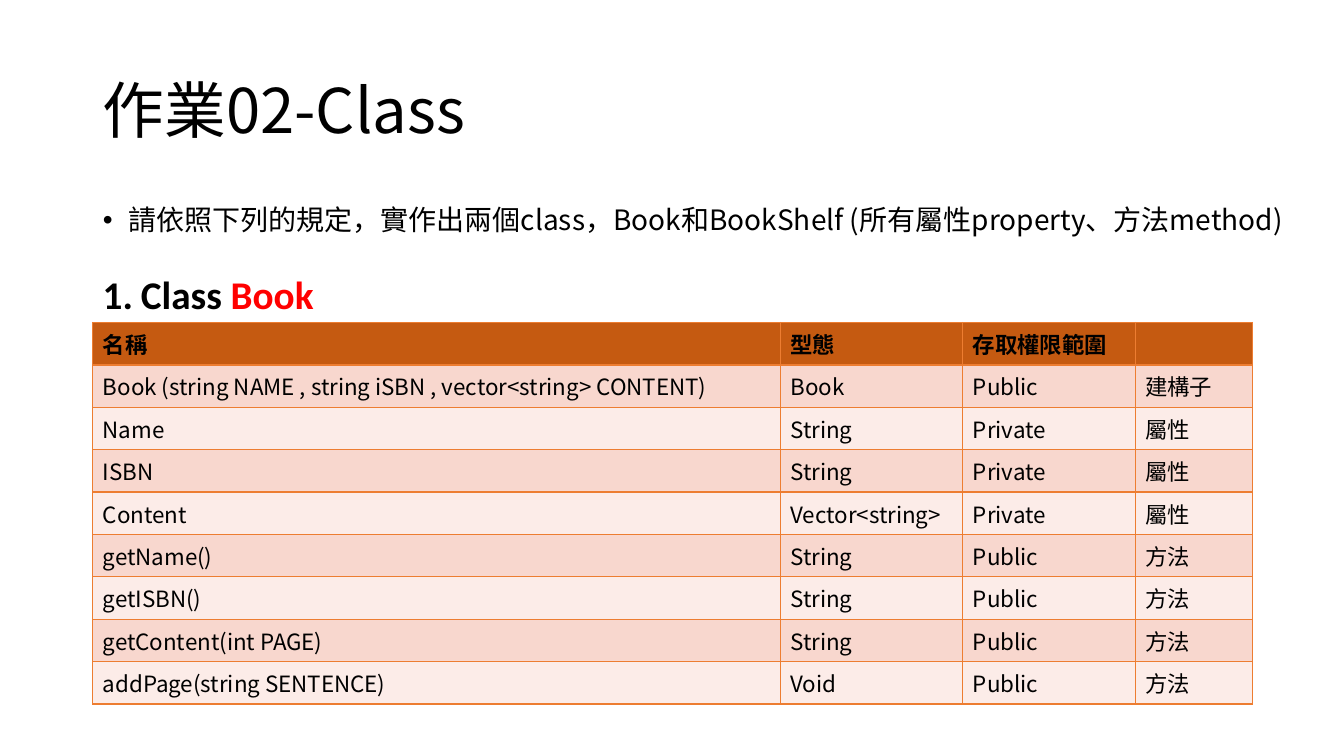
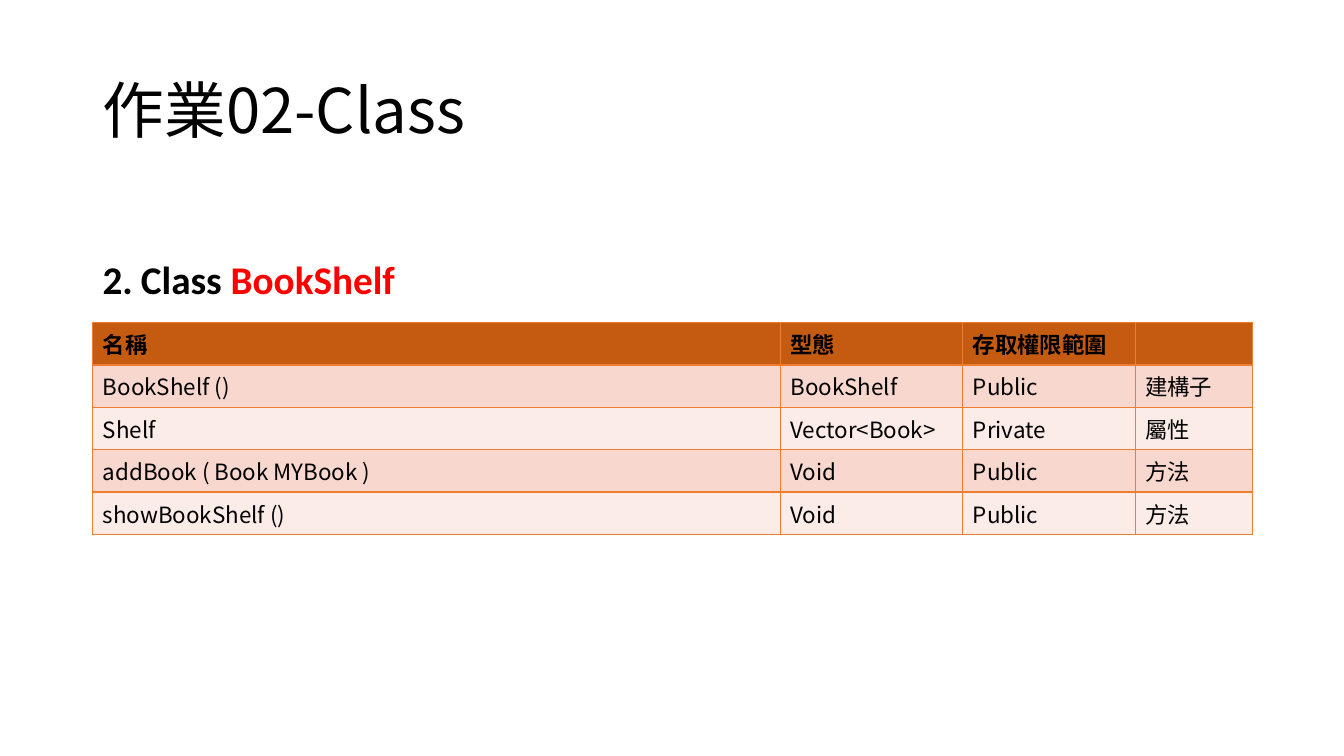
from lxml import etree
from pptx import Presentation
from pptx import util as u
from pptx.dml.color import RGBColor
from pptx.enum import text
from pptx.oxml import ns

# Shared look
FONT, HEADING_FONT = "Noto Sans CJK SC", "Calibri"
BLACK, RED = RGBColor(0, 0, 0), RGBColor(255, 0, 0)
HEADER_FILL = RGBColor(0xC5, 0x5A, 0x11)
BAND_FILLS = RGBColor(0xF8, 0xD7, 0xCE), RGBColor(0xFC, 0xEC, 0xE8)
BORDER = RGBColor(0xED, 0x7D, 0x31)

# Shared grid, in inches
LEFT, WIDTH = 0.92, 11.5
TITLE_BOX = LEFT, 0.4, WIDTH, 1.45
INTRO_BOX = LEFT, 2, 11.98, 4.76
TABLE_TOP, ROW_HEIGHT = 3.2, 0.42
COLUMNS = 6.82, 1.81, 1.71, 1.16

TITLE = "作業02-Class"
INTRO = "請依照下列的規定，實作出兩個class，Book和BookShelf (所有屬性property、方法method)"
HEADER = "名稱", "型態", "存取權限範圍", ""
BOOK = [
    ("Book (string NAME , string iSBN , vector<string> CONTENT)", "Book", "Public", "建構子"),
    ("Name", "String", "Private", "屬性"),
    ("ISBN", "String", "Private", "屬性"),
    ("Content", "Vector<string>", "Private", "屬性"),
    ("getName()", "String", "Public", "方法"),
    ("getISBN()", "String", "Public", "方法"),
    ("getContent(int PAGE)", "String", "Public", "方法"),
    ("addPage(string SENTENCE)", "Void", "Public", "方法"),
]
BOOKSHELF = [
    ("BookShelf ()", "BookShelf", "Public", "建構子"),
    ("Shelf", "Vector<Book>", "Private", "屬性"),
    ("addBook ( Book MYBook )", "Void", "Public", "方法"),
    ("showBookShelf ()", "Void", "Public", "方法"),
]


def inches(box):
    return [u.Inches(length) for length in box]


def style(run, size, color=BLACK, bold=False, name=FONT):
    font = run.font
    font.size, font.bold, font.name = u.Pt(size), bold, name
    font.color.rgb = color
    latin = run._r.rPr.find(ns.qn("a:latin"))
    east_asian = etree.Element(ns.qn("a:ea"), typeface=name)
    latin.addnext(east_asian)


def set_bullet(paragraph, indent, tag, **attributes):
    properties = paragraph._p.get_or_add_pPr()
    properties.set("marL", str(u.Inches(indent)))
    properties.set("indent", str(-u.Inches(indent)))
    typeface = "Arial" if tag == "a:buChar" else "+mj-lt"
    etree.SubElement(properties, ns.qn("a:buFont"), typeface=typeface)
    etree.SubElement(properties, ns.qn(tag), **attributes)


def fill_placeholder(placeholder, box, content, size, anchor):
    placeholder.left, placeholder.top, placeholder.width, placeholder.height = inches(box)
    frame = placeholder.text_frame
    frame.text = content
    frame.auto_size = text.MSO_AUTO_SIZE.NONE
    frame.vertical_anchor = anchor
    paragraph = frame.paragraphs[0]
    paragraph.alignment = text.PP_ALIGN.LEFT
    paragraph.line_spacing = 0.9
    style(paragraph.runs[0], size)
    return paragraph


def add_heading(slide, box, number, class_name):
    frame = slide.shapes.add_textbox(*inches(box)).text_frame
    frame.word_wrap = False
    frame.auto_size = text.MSO_AUTO_SIZE.SHAPE_TO_FIT_TEXT
    paragraph = frame.paragraphs[0]
    for part, color in (("Class ", BLACK), (class_name, RED)):
        run = paragraph.add_run()
        run.text = part
        style(run, 28, color, True, HEADING_FONT)
    set_bullet(paragraph, 0.38, "a:buAutoNum", type="arabicPeriod", startAt=str(number))


def add_borders(cell):
    properties = cell._tc.get_or_add_tcPr()
    for position, side in enumerate("LRTB"):
        line = etree.Element(ns.qn("a:ln" + side), w=str(u.Pt(1)))
        fill = etree.SubElement(line, ns.qn("a:solidFill"))
        etree.SubElement(fill, ns.qn("a:srgbClr"), val=str(BORDER))
        properties.insert(position, line)


def add_members(slide, left, top, members):
    rows = [HEADER, *members]
    box = left, top, sum(COLUMNS), ROW_HEIGHT * len(rows)
    table = slide.shapes.add_table(len(rows), len(COLUMNS), *inches(box)).table
    for column, width in zip(table.columns, COLUMNS):
        column.width = u.Inches(width)
    for r, values in enumerate(rows):
        table.rows[r].height = u.Inches(ROW_HEIGHT)
        for c, value in enumerate(values):
            cell = table.cell(r, c)
            cell.fill.solid()
            cell.fill.fore_color.rgb = BAND_FILLS[(r - 1) % 2] if r else HEADER_FILL
            add_borders(cell)
            cell.text_frame.text = value
            for run in cell.text_frame.paragraphs[0].runs:
                style(run, 16, bold=r == 0)


def add_class_slide(deck, number, class_name, members, heading_box, intro=None):
    # Layout 1 has a title and a body, layout 5 a title only
    slide = deck.slides.add_slide(deck.slide_layouts[1 if intro else 5])
    fill_placeholder(slide.shapes.title, TITLE_BOX, TITLE, 44, text.MSO_ANCHOR.MIDDLE)
    if intro:
        paragraph = fill_placeholder(slide.placeholders[1], INTRO_BOX, intro, 20,
                                     text.MSO_ANCHOR.TOP)
        paragraph.space_before = u.Pt(10)
        set_bullet(paragraph, 0.25, "a:buChar", char="•")
    add_members(slide, LEFT, TABLE_TOP, members)
    add_heading(slide, heading_box, number, class_name)


def main():
    deck = Presentation()
    deck.slide_width, deck.slide_height = inches((13.33, 7.5))
    add_class_slide(deck, 1, "Book", BOOK, (LEFT, 2.63, 2.31, 0.57), INTRO)
    add_class_slide(deck, 2, "BookShelf", BOOKSHELF, (LEFT, 2.48, 3.13, 0.57))
    deck.save("out.pptx")


if __name__ == "__main__":
    main()
